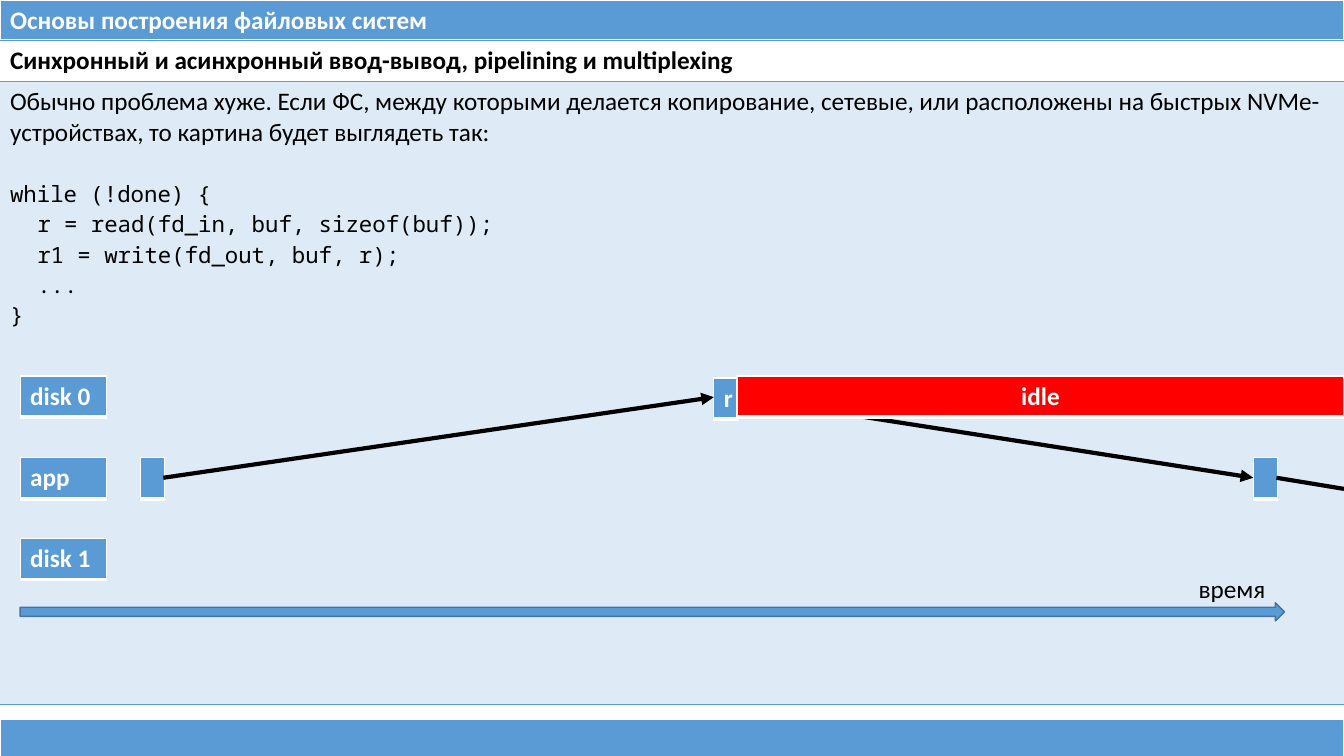
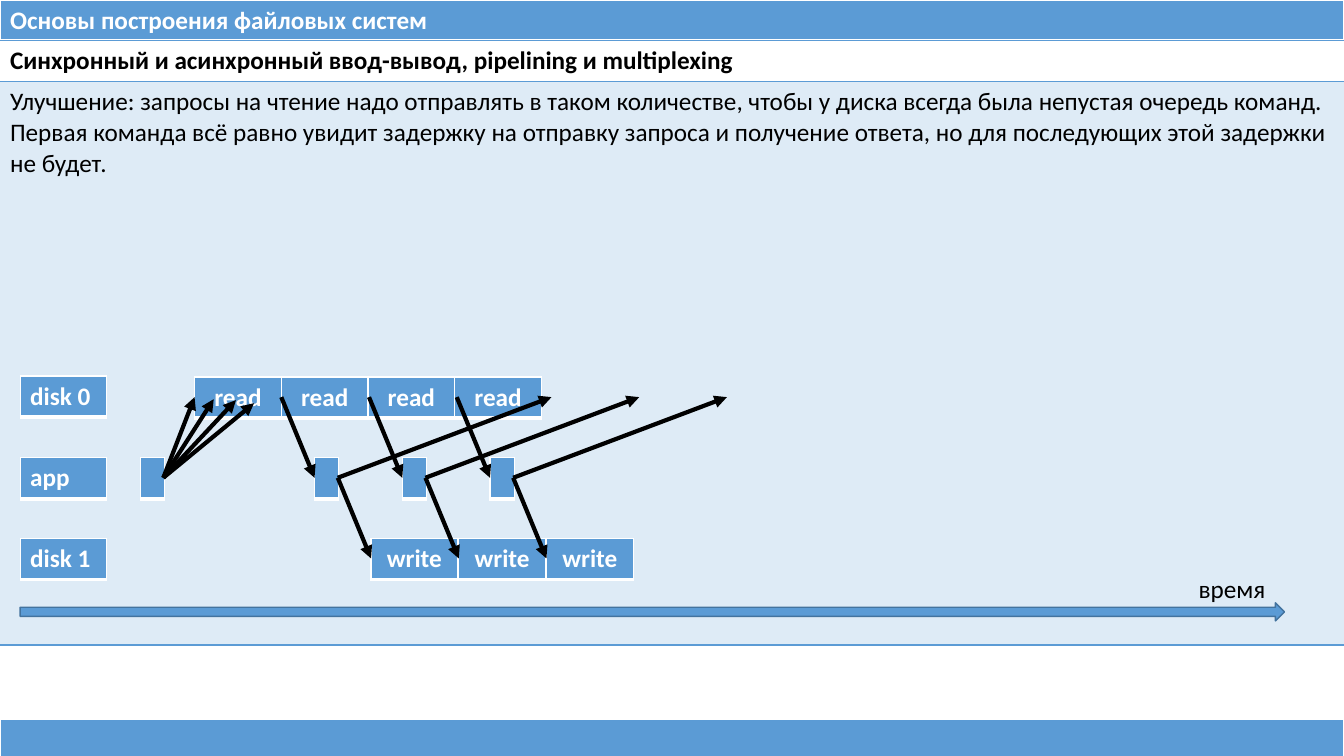
from lxml.etree import SubElement
from pptx import Presentation
from pptx.dml.color import RGBColor
from pptx.enum.shapes import MSO_CONNECTOR, MSO_SHAPE
from pptx.enum.text import PP_ALIGN
from pptx.oxml import parse_xml
from pptx.oxml.ns import nsdecls, qn
from pptx.util import Inches, Pt

COLORS = {"blue": "5B9BD5", "edge": "43739E", "white": "FFFFFF",
          "black": "000000", "red": "FF0000"}
FONT, CODE_FONT = "Calibri", "Noto Sans Mono"
SLIDE_WIDTH, SLIDE_HEIGHT = 13.33, 7.5

COURSE = "Основы построения файловых систем"
TOPIC = "Синхронный и асинхронный ввод-вывод, pipelining и multiplexing"
TIME_LABEL = "время"
LANES = {"disk 0": 3.73, "app": 4.54, "disk 1": 5.34}
BLOCK_WIDTH, TICK_WIDTH, BLOCK_HEIGHT = 0.86, 0.23, 0.41
FIRST_TICK = 1.39
DISK_0_MIDDLE, APP_MIDDLE, DISK_1_MIDDLE = 3.94, 4.74, 5.54

PROBLEM = ("Обычно проблема хуже. Если ФС, между которыми делается копирование, сетевые, "
           "или расположены на быстрых NVMe-устройствах, то картина будет выглядеть так:")
# Each code line: indent level, text
CODE = [
    (0, "while (!done) {"),
    (1, "r = read(fd_in, buf, sizeof(buf));"),
    (1, "r1 = write(fd_out, buf, r);"),
    (1, "..."),
    (0, "}"),
]
IMPROVEMENT = ("Улучшение: запросы на чтение надо отправлять в таком количестве, чтобы у диска "
               "всегда была непустая очередь команд. Первая команда всё равно увидит задержку "
               "на отправку запроса и получение ответа, но для последующих этой задержки не будет.")

# Slow copy: one read, a late answer, an idle disk
SLOW_READ, LATE_TICK = 7.08, 12.43
IDLE_START = SLOW_READ + TICK_WIDTH

# Queued copy: a row of reads, each answered by a tick and a write
READ_START, READ_COUNT = 1.93, 4
ANSWER_START, ANSWER_COUNT, ANSWER_STEP = 3.12, 3, 0.87
ANSWER_DELAY, WRITE_DELAY, NEXT_READ_DELAY = 0.33, 0.56, 2.35
REQUEST_TIPS = [(1.93, 3.94), (2.12, 3.96), (2.34, 3.97), (2.52, 4)]


def rgb(name):
    """Return the named colour."""
    return RGBColor.from_string(COLORS[name])


def write(paragraph, text, size=18, font=FONT, color="black", bold=False,
          align=PP_ALIGN.LEFT, before=0, indent=0):
    """Put formatted text into a paragraph."""
    paragraph.alignment = align
    if before:
        paragraph.space_before = Pt(before)
    if indent:
        paragraph._p.get_or_add_pPr().set("marL", str(Inches(indent)))
    run = paragraph.add_run()
    run.text = text
    run.font.size, run.font.name, run.font.bold = Pt(size), font, bold
    run.font.color.rgb = rgb(color)


def set_borders(cell, borders):
    """Set cell edges from a dict of side: (colour, points); other sides get no line."""
    properties = cell._tc.get_or_add_tcPr()
    for position, side in enumerate("LRTB"):
        color, width = borders.get(side, (None, 1))
        paint = (f'<a:solidFill><a:srgbClr val="{COLORS[color]}"/></a:solidFill>'
                 if color else "<a:noFill/>")
        properties.insert(position, parse_xml(
            f'<a:ln{side} {nsdecls("a")} w="{Pt(width)}">{paint}</a:ln{side}>'))


def add_grid(slide, left, top, width, heights):
    """Add a plain one-column table and return its cells."""
    table = slide.shapes.add_table(len(heights), 1, Inches(left), Inches(top),
                                   Inches(width), Inches(sum(heights))).table
    table.first_row = table.horz_banding = False
    for row, height in zip(table.rows, heights):
        row.height = Inches(height)
    return [row.cells[0] for row in table.rows]


def add_block(slide, left, top, width, text="", height=BLOCK_HEIGHT, fill="blue",
              align=PP_ALIGN.CENTER):
    """Add a filled one-cell table with white edges."""
    cell, = add_grid(slide, left, top, width, [height])
    cell.fill.solid()
    cell.fill.fore_color.rgb = rgb(fill)
    set_borders(cell, {"L": ("white", 1), "R": ("white", 1),
                       "T": ("white", 1), "B": ("white", 3)})
    if text:
        write(cell.text_frame.paragraphs[0], text, color="white", bold=True, align=align)


def add_arrow(slide, start, end, head=True):
    """Draw a thick black line, by default with an arrowhead at its end."""
    connector = slide.shapes.add_connector(
        MSO_CONNECTOR.STRAIGHT, *[Inches(value) for value in (*start, *end)])
    connector.line.color.rgb = rgb("black")
    connector.line.width = Pt(3)
    if head:
        SubElement(connector.line._get_or_add_ln(), qn("a:tailEnd"), type="triangle")
    SubElement(connector._element.spPr, qn("a:effectLst"))


def add_content(slide, body_text, body_height):
    """Add the topic row and the tinted body row; return the body text frame."""
    topic, body = add_grid(slide, 0, 0.4, SLIDE_WIDTH, [0.41, body_height])
    topic.fill.background()
    write(topic.text_frame.paragraphs[0], TOPIC, bold=True)
    body.fill.solid()
    body.fill.fore_color.rgb = rgb("blue")
    tint = body._tc.tcPr.find(".//" + qn("a:srgbClr"))
    SubElement(tint, qn("a:alpha"), val="20000")
    for cell in (topic, body):
        set_borders(cell, {"T": ("blue", 1), "B": ("blue", 1)})
    write(body.text_frame.paragraphs[0], body_text)
    return body.text_frame


def add_timeline(slide):
    """Add the lane labels, the first app tick and the time axis."""
    for name, top in LANES.items():
        add_block(slide, 0.2, top, BLOCK_WIDTH, name, align=PP_ALIGN.LEFT)
    add_block(slide, FIRST_TICK, LANES["app"], TICK_WIDTH)
    axis = slide.shapes.add_shape(MSO_SHAPE.RIGHT_ARROW, Inches(0.2), Inches(5.98),
                                  Inches(12.54), Inches(0.18))
    axis.shadow.inherit = False
    axis.fill.solid()
    axis.fill.fore_color.rgb = rgb("blue")
    axis.line.color.rgb = rgb("edge")
    axis.line.width = Pt(1)
    label = slide.shapes.add_textbox(Inches(11.79), Inches(5.64), Inches(0.87), Inches(0.4))
    label.text_frame.word_wrap = False
    write(label.text_frame.paragraphs[0], TIME_LABEL)


def add_base(presentation, body_text, body_height):
    """Start a slide with bands, content and timeline; return it and its body frame."""
    slide = presentation.slides.add_slide(presentation.slide_layouts[6])
    add_block(slide, 0, 0, SLIDE_WIDTH, COURSE, height=0.35, align=PP_ALIGN.LEFT)
    add_block(slide, 0, 7.14, SLIDE_WIDTH, height=0.34)
    frame = add_content(slide, body_text, body_height)
    add_timeline(slide)
    return slide, frame


def build_slow_copy(presentation):
    """Build the slide where the disk idles between requests."""
    slide, frame = add_base(presentation, PROBLEM, 6.18)
    for number, (level, line) in enumerate(CODE):
        write(frame.add_paragraph(), line, size=16, font=CODE_FONT,
              indent=0.27 * level, before=0 if number else 21.6)
    add_block(slide, SLOW_READ, 3.75, TICK_WIDTH, "r")
    add_block(slide, LATE_TICK, LANES["app"], TICK_WIDTH)
    add_arrow(slide, (FIRST_TICK + TICK_WIDTH, APP_MIDDLE), (SLOW_READ, DISK_0_MIDDLE))
    add_arrow(slide, (IDLE_START, DISK_0_MIDDLE), (LATE_TICK, APP_MIDDLE))
    add_arrow(slide, (LATE_TICK + TICK_WIDTH, APP_MIDDLE), (SLIDE_WIDTH, 4.85), head=False)
    add_block(slide, IDLE_START, LANES["disk 0"], SLIDE_WIDTH - IDLE_START, "idle", fill="red")


def build_queued_copy(presentation):
    """Build the slide where the disk queue never empties."""
    slide, _ = add_base(presentation, IMPROVEMENT, 5.59)
    for number in range(READ_COUNT):
        add_block(slide, READ_START + number * BLOCK_WIDTH, 3.74, BLOCK_WIDTH, "read")
    ticks = [ANSWER_START + number * ANSWER_STEP for number in range(ANSWER_COUNT)]
    for tick in ticks:
        add_block(slide, tick, LANES["app"], TICK_WIDTH)
        add_block(slide, tick + WRITE_DELAY, LANES["disk 1"], BLOCK_WIDTH, "write")
    for tip in REQUEST_TIPS:
        add_arrow(slide, (FIRST_TICK + TICK_WIDTH, APP_MIDDLE), tip)
    for tick in ticks:
        sent = (tick + TICK_WIDTH, APP_MIDDLE)
        add_arrow(slide, (tick - ANSWER_DELAY, DISK_0_MIDDLE), (tick, APP_MIDDLE))
        add_arrow(slide, sent, (tick + WRITE_DELAY, DISK_1_MIDDLE))
        add_arrow(slide, sent, (tick + NEXT_READ_DELAY, DISK_0_MIDDLE))


presentation = Presentation()
presentation.slide_width = Inches(SLIDE_WIDTH)
presentation.slide_height = Inches(SLIDE_HEIGHT)
build_slow_copy(presentation)
build_queued_copy(presentation)
presentation.save("out.pptx")
